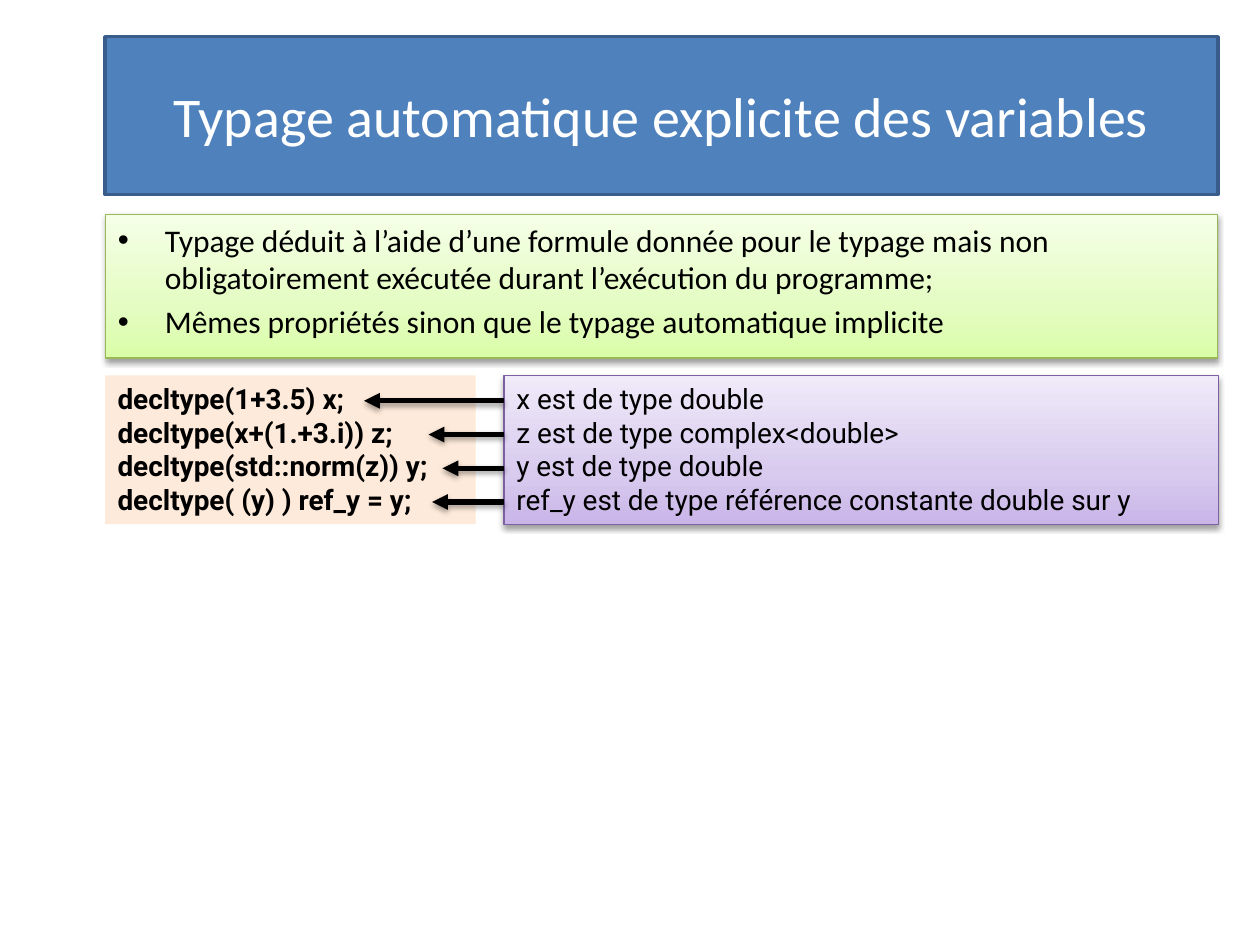
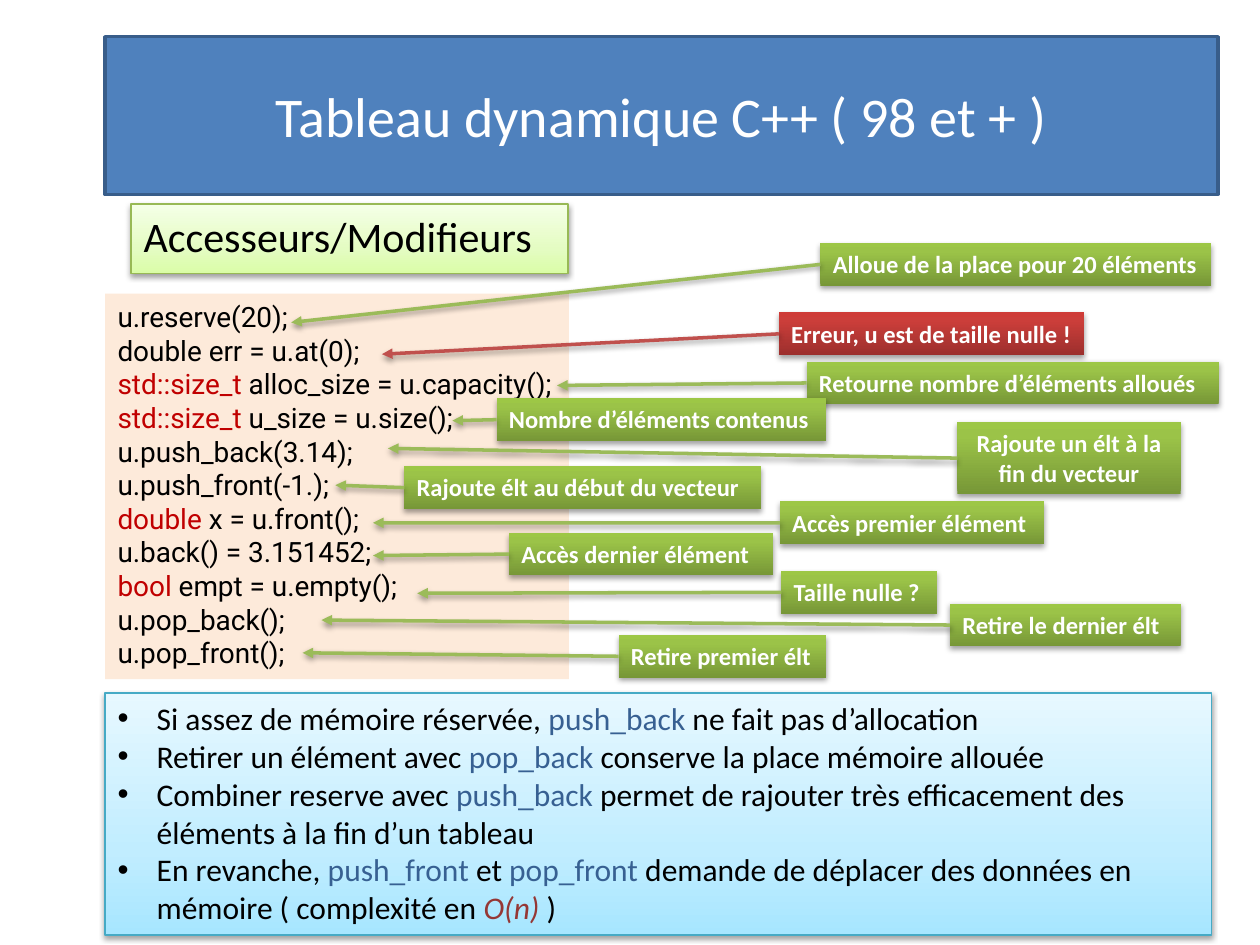
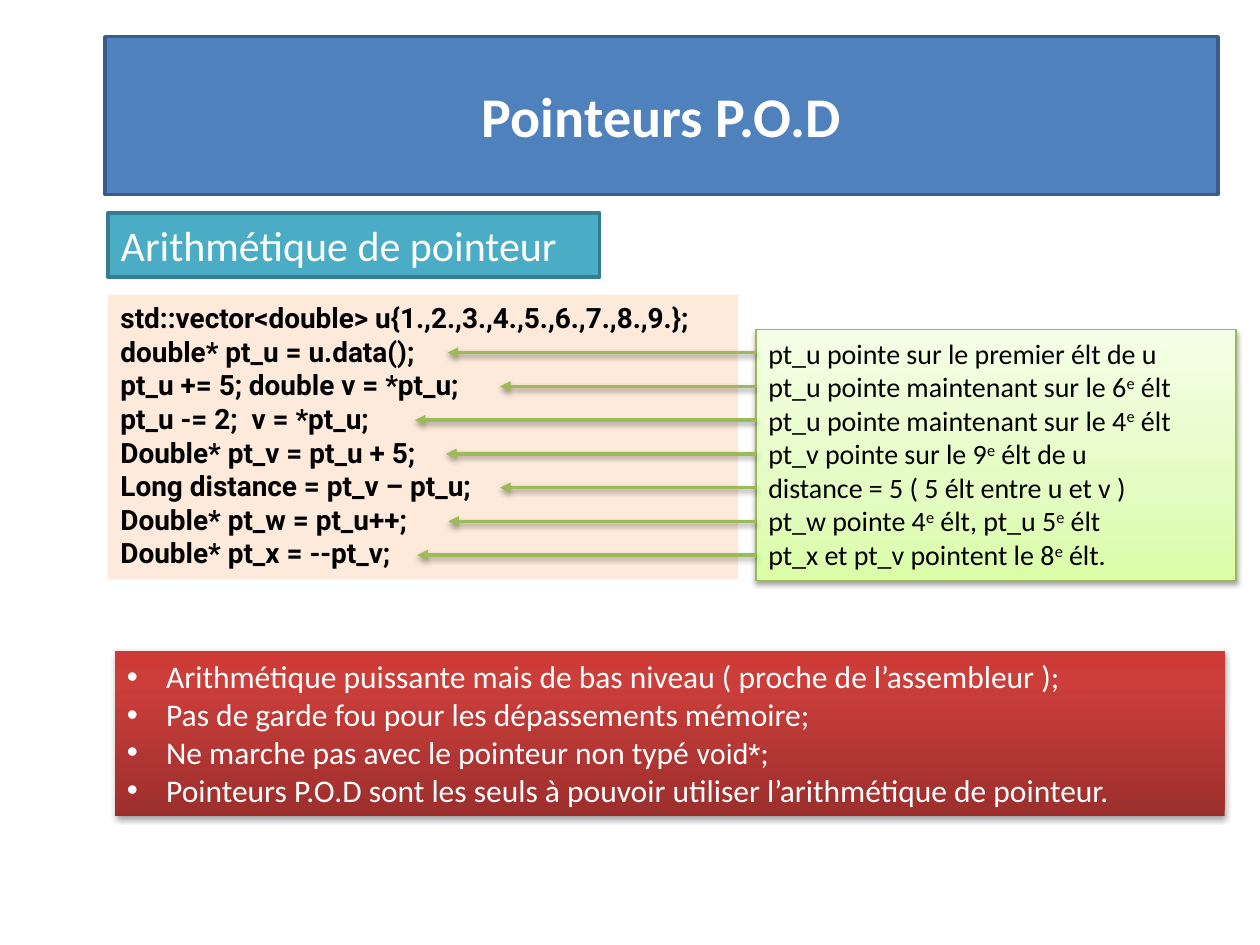
from dataclasses import dataclass

from lxml.etree import SubElement
from pptx import Presentation
from pptx.dml.color import RGBColor
from pptx.enum.shapes import MSO_CONNECTOR as Connector, MSO_SHAPE as Preset
from pptx.enum.text import MSO_ANCHOR as Anchor, MSO_AUTO_SIZE as AutoSize, PP_ALIGN as Align
from pptx.oxml.ns import qn
from pptx.util import Cm, Pt


@dataclass(frozen=True)
class Look:
    """Fill (one colour, or (position, colour) stops from the bottom up), border and text."""
    fill: object
    color: str = "000000"
    size: int = 16
    font: str = "Calibri"
    bold: bool = False
    border: str = ""
    border_width: float = 0.75
    shadow: bool = False


@dataclass(frozen=True)
class Span:
    text: str
    color: str = ""
    font: str = ""
    size: int = 0
    italic: bool = False
    raised: bool = False


LIME = ((0, "DAFDA7"), (35, "E4FCC2"), (100, "F5FFE7"))
LILAC = ((0, "C9B5E8"), (35, "D8CBEE"), (100, "F0EAF9"))
SKY = ((0, "A7E6FF"), (35, "C1EDFF"), (100, "E7F8FF"))
OLIVE = ((0, "779737"), (80, "9BC348"), (100, "9DC746"))
BRICK = ((0, "9C2F2D"), (80, "CB3E3A"), (100, "CE3B37"))


class Theme:
    white = "FFFFFF"
    black, green, red = "000000", "9BBB59", "C0504D"
    type_name, function_name, complexity = "C00000", "376092", "953735"
    code_font = "Roboto"
    code_size = 16
    line_pitch = 0.68

    title = Look("4F81BD", white, 32, border="385D8A", border_width=2)
    bold_title = Look("4F81BD", white, 32, bold=True, border="385D8A", border_width=2)
    green_list = Look(LIME, size=18, border="98B955", shadow=True)
    green_heading = Look(LIME, size=24, border="98B955", shadow=True)
    teal_heading = Look("4BACC6", white, 24, border="357D91", border_width=2)
    code = Look("FDEADA", font=code_font, size=code_size)
    bold_code = Look("FDEADA", font=code_font, size=code_size, bold=True)
    purple_note = Look(LILAC, font=code_font, border="7D60A0", shadow=True)
    green_note = Look(LIME, border="98B955", shadow=True)
    blue_list = Look(SKY, size=18, border="46AAC5", shadow=True)
    red_list = Look(BRICK, white, 18, shadow=True)
    green_label = Look(OLIVE, white, 14, bold=True, shadow=True)
    red_label = Look(BRICK, white, 14, bold=True, shadow=True)


class Painter:
    """Draws themed elements on the current page; places are left, top, width, height in cm."""

    def __init__(self, deck):
        self.deck = deck
        self.page = None

    def new_page(self, title, look=Theme.title):
        self.page = self.deck.slides.add_slide(self.deck.slide_layouts[1])
        box = self.page.shapes.title
        self.fit_placeholder(box, (2.12, 0.74, 22.43, 3.18), [title], look)
        box.text_frame.vertical_anchor = Anchor.MIDDLE
        box.text_frame.paragraphs[0].alignment = Align.CENTER

    def body(self, place, lines, look, bullet_indent=0):
        box = self.page.placeholders[1]
        self.fit_placeholder(box, place, lines, look)
        for para in box.text_frame.paragraphs:
            self.indent(para, bullet_indent)

    def fit_placeholder(self, box, place, lines, look):
        box.left, box.top, box.width, box.height = map(Cm, place)
        box.text_frame.auto_size = AutoSize.NONE
        self.paint(box, look)
        self.add_lines(box, lines, look)

    def panel(self, place, lines, look, bullet_indent=0, align=Align.LEFT):
        box = self.page.shapes.add_shape(Preset.RECTANGLE, *map(Cm, place))
        self.paint(box, look)
        box.text_frame.vertical_anchor = Anchor.TOP
        box.text_frame.auto_size = AutoSize.SHAPE_TO_FIT_TEXT
        self.add_lines(box, lines, look)
        for para in box.text_frame.paragraphs:
            para.alignment = align
            if bullet_indent:
                self.indent(para, bullet_indent)
        return box

    def arrow(self, start, tip, color, width=2, source=None):
        """Arrow to tip; with a source box it leaves the middle of its left side."""
        arrow = self.page.shapes.add_connector(Connector.STRAIGHT, *map(Cm, (*start, *tip)))
        if source is not None:
            arrow.begin_connect(source, 1)
        arrow.line.color.rgb = RGBColor.from_string(color)
        arrow.line.width = Pt(width)
        outline = arrow._element.spPr.find(qn("a:ln"))
        SubElement(outline, qn("a:tailEnd"), type="triangle")
        self.effects(arrow, shadow=True)

    def row_arrows(self, left, top, tips, color, width=2):
        """One horizontal arrow per text line, from a common left edge."""
        for row, tip in enumerate(tips):
            y = top + row * Theme.line_pitch
            self.arrow((left, y), (tip, y), color, width)

    def label(self, place, text, tip, look, color, align=Align.LEFT):
        box = self.panel(place, [text], look, align=align)
        left, top, _, height = place
        self.arrow((left, top + height / 2), tip, color, source=box)

    def paint(self, box, look):
        if isinstance(look.fill, str):
            box.fill.solid()
            box.fill.fore_color.rgb = RGBColor.from_string(look.fill)
        else:
            box.fill.gradient()
            box.fill.gradient_angle = 90
            stops = box._element.spPr.find(".//" + qn("a:gsLst"))
            stops.clear()
            for position, color in look.fill:
                stop = SubElement(stops, qn("a:gs"), pos=str(position * 1000))
                SubElement(stop, qn("a:srgbClr"), val=color)
        if look.border:
            box.line.color.rgb = RGBColor.from_string(look.border)
            box.line.width = Pt(look.border_width)
        else:
            box.line.fill.background()
        self.effects(box, look.shadow)

    def effects(self, shape, shadow):
        effects = SubElement(shape._element.spPr, qn("a:effectLst"))
        if shadow:
            cast = SubElement(effects, qn("a:outerShdw"), blurRad="40000", dist="21000",
                              dir="5400000", rotWithShape="0")
            tint = SubElement(cast, qn("a:srgbClr"), val=Theme.black)
            SubElement(tint, qn("a:alpha"), val="37000")

    def add_lines(self, box, lines, look):
        """Each line is a string or a list of strings and Spans."""
        frame = box.text_frame
        frame.word_wrap = True
        for number, line in enumerate(lines):
            para = frame.add_paragraph() if number else frame.paragraphs[0]
            for part in [line] if isinstance(line, str) else line:
                span = part if isinstance(part, Span) else Span(part)
                run = para.add_run()
                run.text = span.text
                run.font.name = span.font or look.font
                run.font.size = Pt(span.size or look.size)
                run.font.bold = look.bold
                run.font.italic = span.italic
                run.font.color.rgb = RGBColor.from_string(span.color or look.color)
                if span.raised:
                    run.font._element.set("baseline", "30000")

    def indent(self, para, width):
        """Hang a bullet in the given width; zero means no bullet."""
        props = para._p.get_or_add_pPr()
        props.set("marL", str(Cm(width)))
        props.set("indent", str(-Cm(width)))
        if width:
            SubElement(props, qn("a:buFont"), typeface="Arial")
            SubElement(props, qn("a:buChar"), char="•")
        else:
            SubElement(props, qn("a:buNone"))


def type_name(text):
    return Span(text, color=Theme.type_name)


def function_name(text):
    return Span(text, color=Theme.function_name)


def explicit_typing(painter):
    painter.new_page("Typage automatique explicite des variables")
    painter.body((2.12, 4.32, 22.43, 2.9), [
        "Typage déduit à l’aide d’une formule donnée pour le typage mais non "
        "obligatoirement exécutée durant l’exécution du programme;",
        "Mêmes propriétés sinon que le typage automatique implicite",
    ], Theme.green_list, bullet_indent=0.95)
    painter.panel((2.12, 7.57, 7.47, 3), [
        "decltype(1+3.5) x;",
        "decltype(x+(1.+3.i)) z;",
        "decltype(std::norm(z)) y;",
        "decltype( (y) ) ref_y = y;",
    ], Theme.bold_code)
    painter.panel((10.16, 7.57, 14.4, 3), [
        "x est de type double",
        "z est de type complex<double>",
        "y est de type double",
        "ref_y est de type référence constante double sur y",
    ], Theme.purple_note)
    painter.row_arrows(10.16, 8.08, (7.34, 8.64, 8.92, 8.71), Theme.black, width=3)


def dynamic_array(painter):
    painter.new_page("Tableau dynamique C++ ( 98 et + )")
    painter.body((2.64, 4.11, 8.81, 1.4), ["Accesseurs/Modifieurs"], Theme.green_heading)
    painter.panel((2.12, 5.92, 9.35, 7.77), [
        "u.reserve(20);",
        "double err = u.at(0);",
        [type_name("std::size_t"), " alloc_size = u.capacity();"],
        [type_name("std::size_t"), " u_size = u.size();"],
        "u.push_back(3.14);",
        "u.push_front(-1.);",
        [type_name("double"), " x = u.front();"],
        "u.back() = 3.151452;",
        [type_name("bool"), " empt = u.empty();"],
        "u.pop_back();",
        "u.pop_front();",
    ], Theme.code)

    green = (Theme.green_label, Theme.green)
    red = (Theme.red_label, Theme.red)
    one_line, two_lines = 0.86, 1.45
    labels = [
        ((16.54, 4.9, 7.87, one_line), "Alloue de la place pour 20 éléments", (5.87, 6.5), *green),
        ((15.7, 6.3, 6.15, one_line), "Erreur, u est de taille nulle !", (7.7, 7.14), *red),
        ((16.26, 7.29, 8.31, one_line), "Retourne nombre d’éléments alloués", (11.23, 7.77), *green),
        ((10.01, 8.03, 6.65, one_line), "Nombre d’éléments contenus", (9.12, 8.48), *green),
        ((19.3, 8.51, 4.5, two_lines), "Rajoute un élt à la fin du vecteur", (7.82, 9.04), *green,
         Align.CENTER),
        ((8.15, 9.4, 7.19, one_line), "Rajoute élt au début du vecteur", (6.76, 9.78), *green),
        ((15.72, 10.11, 5.33, one_line), "Accès premier élément", (7.52, 10.54), *green),
        ((10.26, 10.74, 5.33, one_line), "Accès dernier élément", (7.52, 11.2), *green),
        ((15.75, 11.51, 3.15, one_line), "Taille nulle ?", (8.41, 11.96), *green),
        ((19.15, 12.17, 4.65, one_line), "Retire le dernier élt", (6.48, 12.5), *green),
        ((12.47, 12.8, 4.19, one_line), "Retire premier élt", (6.1, 13.16), *green),
    ]
    for label in labels:
        painter.label(*label)

    painter.panel((2.12, 13.97, 22.3, 4.88), [
        ["Si assez de mémoire réservée, ", function_name("push_back"),
         " ne fait pas d’allocation"],
        ["Retirer un élément avec ", function_name("pop_back"),
         " conserve la place mémoire allouée"],
        ["Combiner reserve avec ", function_name("push_back "),
         "permet de rajouter très efficacement des éléments à la fin d’un tableau"],
        ["En revanche, ", function_name("push_front"), " et ", function_name("pop_front"),
         " demande de déplacer des données en mémoire ( complexité en ",
         Span("O(n)", color=Theme.complexity, italic=True), " )"],
    ], Theme.blue_list, bullet_indent=0.79)


def pointer_arithmetic(painter):
    painter.new_page("Pointeurs P.O.D", Theme.bold_title)
    painter.body((2.18, 4.29, 9.91, 1.3), ["Arithmétique de pointeur"], Theme.teal_heading)
    painter.panel((2.18, 5.94, 12.7, 5.74), [
        "std::vector<double> u{1.,2.,3.,4.,5.,6.,7.,8.,9.};",
        "double* pt_u = u.data();",
        "pt_u += 5; double v = *pt_u;",
        "pt_u -= 2;  v = *pt_u;",
        "Double* pt_v = pt_u + 5;",
        "Long distance = pt_v – pt_u;",
        "Double* pt_w = pt_u++;",
        "Double* pt_x = --pt_v;",
    ], Theme.bold_code)
    ordinal = Span("e", raised=True)
    painter.panel((15.24, 6.65, 9.68, 5.05), [
        "pt_u pointe sur le premier élt de u",
        ["pt_u pointe maintenant sur le 6", ordinal, " élt"],
        ["pt_u pointe maintenant sur le 4", ordinal, " élt"],
        ["pt_v pointe sur le 9", ordinal, " élt de u"],
        "distance = 5 ( 5 élt entre u et v )",
        ["pt_w pointe 4", ordinal, " élt, pt_u 5", ordinal, " élt"],
        ["pt_x et pt_v pointent le 8", ordinal, " élt."],
    ], Theme.green_note)
    painter.row_arrows(15.24, 7.11, (9.02, 10.08, 8.36, 8.99, 10.08, 9.04, 8.41), Theme.green)
    painter.panel((2.31, 13.13, 22.38, 3.33), [
        "Arithmétique puissante mais de bas niveau ( proche de l’assembleur );",
        "Pas de garde fou pour les dépassements mémoire;",
        ["Ne marche pas avec le pointeur non typé ",
         Span("void*", font=Theme.code_font, size=Theme.code_size), ";"],
        "Pointeurs P.O.D sont les seuls à pouvoir utiliser l’arithmétique de pointeur.",
    ], Theme.red_list, bullet_indent=0.79)


def main():
    deck = Presentation()
    deck.slide_width, deck.slide_height = Cm(25.4), Cm(19.05)
    painter = Painter(deck)
    explicit_typing(painter)
    dynamic_array(painter)
    pointer_arithmetic(painter)
    deck.save("out.pptx")


if __name__ == "__main__":
    main()
